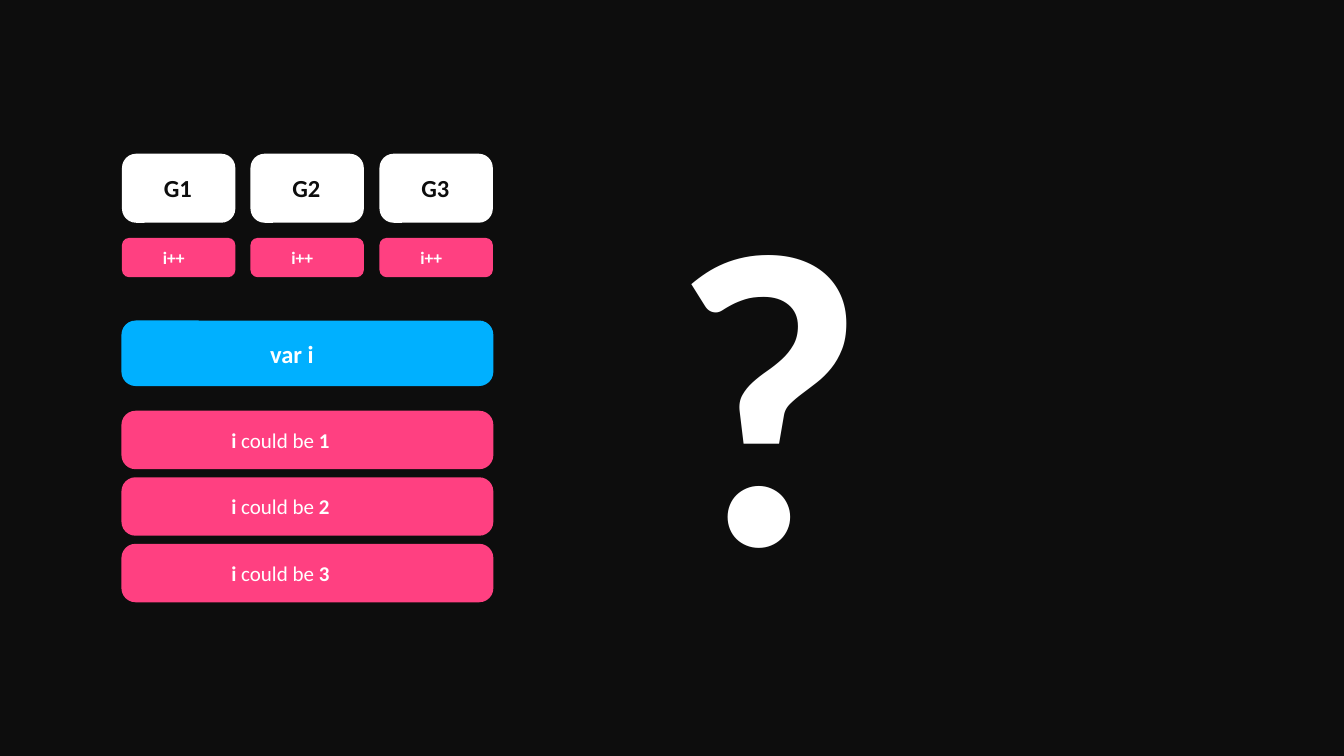
from pptx import Presentation
from pptx import util as u
from pptx.dml.color import RGBColor
from pptx.enum import shapes, text

PX = 9144
DARK, WHITE, BLUE, PINK = "0D0D0D", "FFFFFF", "00B0FF", "FF4081"


def paint(fill, color):
    fill.solid()
    fill.fore_color.rgb = RGBColor.from_string(color)


def emu(*lengths):
    return [u.Emu(n * PX) for n in lengths]


def add_label(s, box, size, runs, font):
    x, y, w, h = box
    tw, th = size
    sp = s.shapes.add_textbox(*emu(x + (w - tw) // 2, y + (h - th) // 2, tw, th))
    tf = sp.text_frame
    frame_format = {
        "word_wrap": False,
        "auto_size": text.MSO_AUTO_SIZE.SHAPE_TO_FIT_TEXT,
        "vertical_anchor": text.MSO_ANCHOR.MIDDLE,
    }
    for side in ("left", "right", "top", "bottom"):
        frame_format[f"margin_{side}"] = u.Emu(6 * PX)
    for name, value in frame_format.items():
        setattr(tf, name, value)
    p = tf.paragraphs[0]
    p.alignment = text.PP_ALIGN.LEFT
    p.space_before = u.Pt(34)
    points, color = font
    for words, bold in runs:
        r = p.add_run()
        r.text = words
        for name, value in {"name": "Calibri", "size": u.Pt(points), "bold": bold}.items():
            setattr(r.font, name, value)
        paint(r.font.fill, color)


def add_bar(s, box, color, radius):
    sp = s.shapes.add_shape(shapes.MSO_SHAPE.ROUNDED_RECTANGLE, *emu(*box))
    sp.adjustments[0] = radius
    sp.shadow.inherit = False
    sp.line.fill.background()
    paint(sp.fill, color)


def add_goroutines(s, box):
    x, y, w, h = box
    card_w, card_h, step_h = 225, 137, 78
    for i in range(3):
        left = x + i * (w - card_w) // 2
        card = (left, y, card_w, card_h)
        step = (left, y + h - step_h, card_w, step_h)
        add_bar(s, card, WHITE, 0.205)
        add_label(s, card, (71, 78), [(f"G{i + 1}", True)], (35, DARK))
        add_bar(s, step, PINK, 0.183)
        add_label(s, step, (75, 58), [("i++", True)], (25, WHITE))


def add_variable(s, box):
    add_bar(s, box, BLUE, 0.217)
    add_label(s, box, (159, 78), [("var i", True)], (35, WHITE))


def add_outcomes(s, box):
    x, y, w, h = box
    row_h = 116
    for i in range(3):
        row = (x, y + i * (h - row_h) // 2, w, row_h)
        runs = [("i ", True), ("could be", False), (f" {i + 1}", True)]
        add_bar(s, row, PINK, 0.241)
        add_label(s, row, (314, 68), runs, (30, WHITE))


def add_question(s, box):
    add_label(s, box, box[2:], [("?", True)], (600, WHITE))


def main():
    prs = Presentation()
    prs.slide_width, prs.slide_height = emu(2667, 1500)
    s = prs.slides.add_slide(prs.slide_layouts[6])
    paint(s.background.fill, DARK)
    add_goroutines(s, (242, 305, 736, 245))
    add_variable(s, (241, 636, 738, 130))
    add_outcomes(s, (241, 815, 738, 380))
    add_question(s, (1327, 175, 468, 1150))
    prs.save("out.pptx")


if __name__ == "__main__":
    main()
